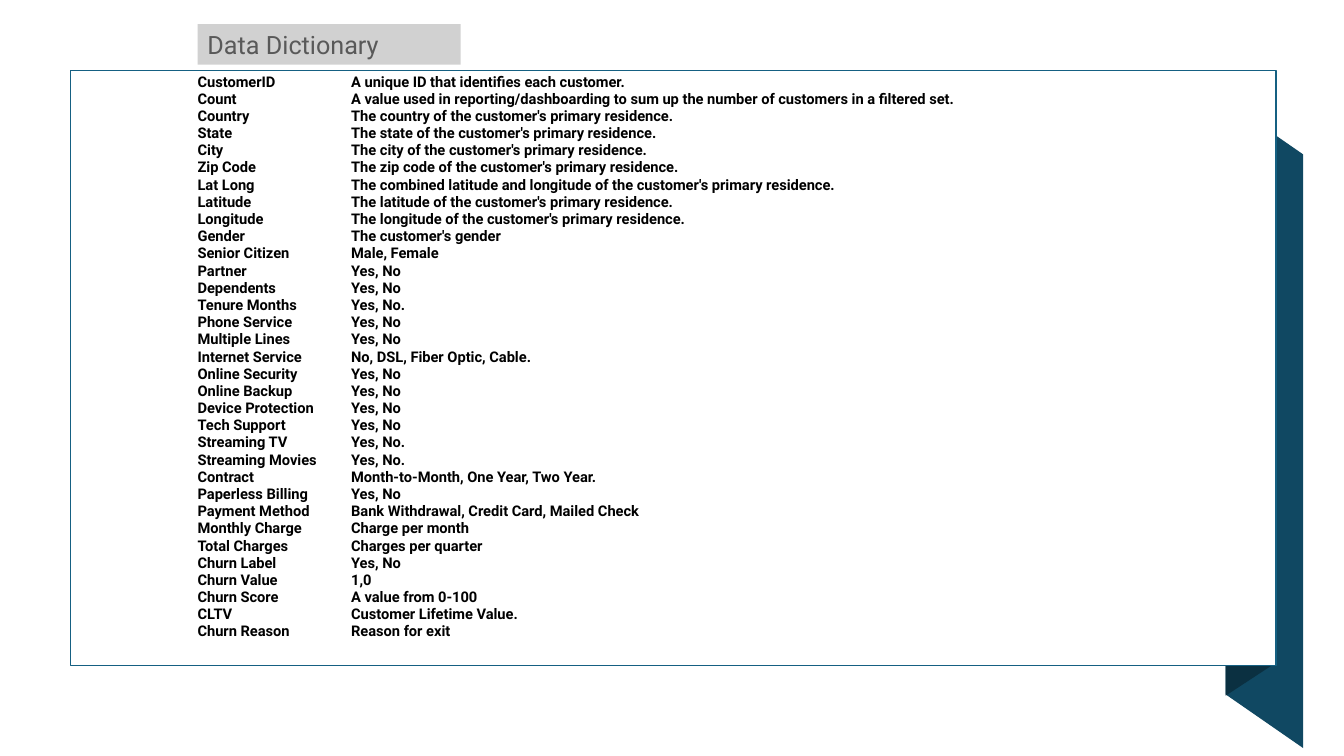
from dataclasses import dataclass
from pptx import Presentation
from pptx.dml.color import RGBColor
from pptx.enum.shapes import MSO_SHAPE
from pptx.enum.text import MSO_ANCHOR, MSO_AUTO_SIZE, PP_ALIGN
from pptx.util import Cm, Pt

RECT = MSO_SHAPE.RECTANGLE
BOTTOM = MSO_ANCHOR.BOTTOM
LEFT = PP_ALIGN.LEFT
GROW = MSO_AUTO_SIZE.SHAPE_TO_FIT_TEXT
NO_GRID = "{2D5ABB26-0587-4C30-8999-92F81FD0307C}"

# Content
TITLE = "Data Dictionary"
FIELDS = [
    ("CustomerID", "A unique ID that identifies each customer."),
    ("Count", "A value used in reporting/dashboarding to sum up "
              "the number of customers in a filtered set."),
    ("Country", "The country of the customer's primary residence."),
    ("State", "The state of the customer's primary residence."),
    ("City", "The city of the customer's primary residence."),
    ("Zip Code", "The zip code of the customer's primary residence."),
    ("Lat Long", "The combined latitude and longitude of the customer's primary residence."),
    ("Latitude", "The latitude of the customer's primary residence."),
    ("Longitude", "The longitude of the customer's primary residence."),
    ("Gender", "The customer's gender"),
    ("Senior Citizen", "Male, Female"),
    ("Partner", "Yes, No"),
    ("Dependents", "Yes, No"),
    ("Tenure Months", "Yes, No."),
    ("Phone Service", "Yes, No"),
    ("Multiple Lines", "Yes, No"),
    ("Internet Service", "No, DSL, Fiber Optic, Cable."),
    ("Online Security", "Yes, No"),
    ("Online Backup", "Yes, No"),
    ("Device Protection", "Yes, No"),
    ("Tech Support", "Yes, No"),
    ("Streaming TV", "Yes, No."),
    ("Streaming Movies", "Yes, No."),
    ("Contract", "Month-to-Month, One Year, Two Year."),
    ("Paperless Billing", "Yes, No"),
    ("Payment Method", "Bank Withdrawal, Credit Card, Mailed Check"),
    ("Monthly Charge", "Charge per month"),
    ("Total Charges", "Charges per quarter"),
    ("Churn Label", "Yes, No"),
    ("Churn Value", "1,0"),
    ("Churn Score", "A value from 0-100"),
    ("CLTV", "Customer Lifetime Value."),
    ("Churn Reason", "Reason for exit"),
]


@dataclass(frozen=True)
class Theme:
    font: str = "Roboto"
    title: float = 18
    body: float = 10.5
    black: str = "000000"
    grey: str = "595959"
    label: str = "D1D1D1"
    white: str = "FFFFFF"
    edge: str = "156082"
    band: str = "104862"
    fold: str = "0B3041"


THEME = Theme()

# Layout in centimetres
PANEL = (1.78, 1.78, 30.38, 14.99)
LABEL = (4.98, 0.61, 6.63, 1.02)
TABLE = (4.98, 1.85)
COLS = (3.78, 17.17)
ROW = 0.38
INDENTS = (0, 0.09)
RIBBON = [  # left, right, top left, top right, height, colour
    (30.89, 32.84, 2.54, 3.89, 14.96, THEME.band),
    (30.89, 32.05, 2.54, 1.78, 14.99, THEME.fold),
]


def paint(shape, fill, line=None):
    shape.shadow.inherit = False
    shape.fill.solid()
    shape.fill.fore_color.rgb = RGBColor.from_string(fill)
    if line:
        shape.line.color.rgb = RGBColor.from_string(line)
        shape.line.width = Pt(1)
    else:
        shape.line.fill.background()


def write(frame, text, size, color, bold=False):
    par = frame.paragraphs[0]
    par.alignment = LEFT
    run = par.add_run()
    run.text = text
    run.font.name = THEME.font
    run.font.size = Pt(size)
    run.font.bold = bold
    run.font.color.rgb = RGBColor.from_string(color)


def box(shapes, place, fill, line=None):
    shape = shapes.add_shape(RECT, *map(Cm, place))
    paint(shape, fill, line)
    return shape


def ribbon(shapes, left, right, top, slant, height, color):
    points = [(right, slant + height), (left, top + height), (left, top), (right, slant)]
    points = [(Cm(x), Cm(y)) for x, y in points]
    pen = shapes.build_freeform(*points[0])
    pen.add_line_segments(points[1:], close=True)
    paint(pen.convert_to_shape(), color)


def grid(shapes):
    count = len(FIELDS)
    size = (sum(COLS), ROW * count)
    table = shapes.add_table(count, len(COLS), *map(Cm, TABLE + size)).table
    table.first_row = table.horz_banding = False
    table._tbl.tblPr[0].text = NO_GRID
    for col, width in zip(table.columns, COLS):
        col.width = Cm(width)
    for i, field in enumerate(FIELDS):
        table.rows[i].height = Cm(ROW)
        for j, text in enumerate(field):
            cell = table.cell(i, j)
            cell.fill.background()
            cell.vertical_anchor = BOTTOM
            cell.margin_left = Cm(INDENTS[j])
            cell.margin_right = cell.margin_top = cell.margin_bottom = 0
            write(cell.text_frame, text, THEME.body, THEME.black, True)


def main():
    deck = Presentation()
    deck.slide_width, deck.slide_height = Cm(33.87), Cm(19.05)
    shapes = deck.slides.add_slide(deck.slide_layouts[6]).shapes

    # Folded ribbon behind the panel
    for part in RIBBON:
        ribbon(shapes, *part)

    # Panel and field list
    box(shapes, PANEL, THEME.white, THEME.edge)
    grid(shapes)

    # Title label
    label = box(shapes, LABEL, THEME.label)
    label.text_frame.word_wrap = True
    label.text_frame.auto_size = GROW
    write(label.text_frame, TITLE, THEME.title, THEME.grey)

    deck.save("out.pptx")


if __name__ == "__main__":
    main()
